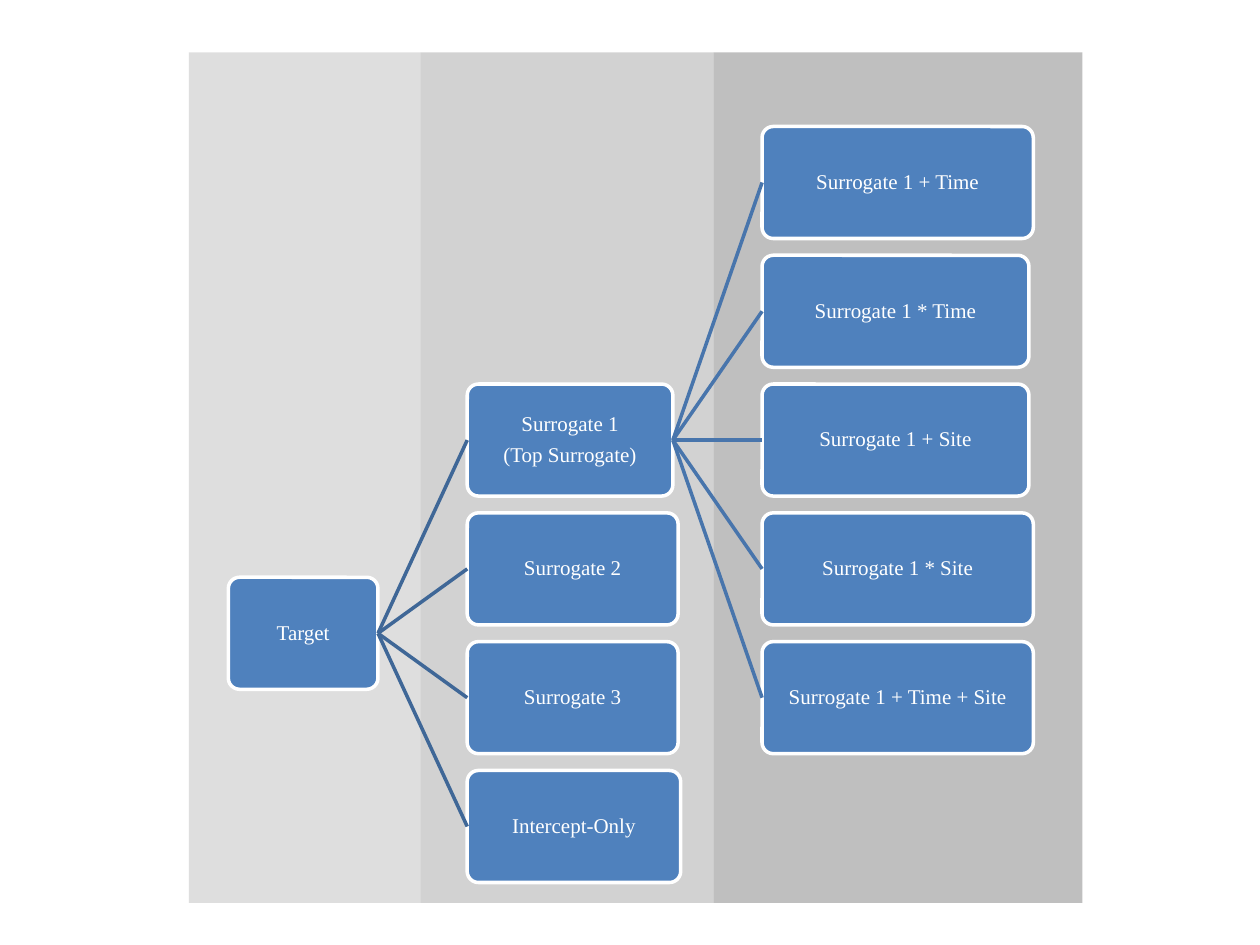
"""Build a tree of surrogate models for a target on three shaded bands."""
import pptx
import pptx.dml.color
import pptx.enum.shapes
import pptx.enum.text
import pptx.oxml
import pptx.oxml.ns
import pptx.util

Pt = pptx.util.Pt
SHAPES = pptx.enum.shapes.MSO_SHAPE

BAND_TOP, BAND_HEIGHT = 30, 486
BANDS = [(108, 132.5, "BFBFBF"), (408, 210.5, "808080"), (240.5, 167.5, "A6A6A6")]
FIRST_ROW, ROW_STEP, BOX_HEIGHT = 72.3, 73.6, 64
TARGET_LEFT, SURROGATE_LEFT, MODEL_LEFT = 130.5, 267, 435.5
SURROGATES = [
    ("Surrogate 1\n(Top Surrogate)", 117.5),
    ("Surrogate 2", 120.5),
    ("Surrogate 3", 120.5),
    ("Intercept-Only", 122),
]
MODELS = [
    ("Surrogate 1 + Time", 155),
    ("Surrogate 1 * Time", 152.5),
    ("Surrogate 1 + Site", 152.5),
    ("Surrogate 1 * Site", 155),
    ("Surrogate 1 + Time + Site", 155),
]


def color(hex_code):
    return pptx.dml.color.RGBColor.from_string(hex_code)


class TreeSlide:
    font, size = "Times New Roman", 12
    box_fill, light, line_width = "4F81BD", "FFFFFF", 2

    def __init__(self, slide):
        self.slide = slide

    def band(self, left, width, fill):
        band = self.slide.shapes.add_shape(
            SHAPES.RECTANGLE, Pt(left), Pt(BAND_TOP), Pt(width), Pt(BAND_HEIGHT))
        band.shadow.inherit = False
        band.fill.solid()
        band.fill.fore_color.rgb = color(fill)
        band.line.fill.background()
        srgb = band.fill._xPr.find(".//" + pptx.oxml.ns.qn("a:srgbClr"))
        alpha = pptx.oxml.parse_xml(f'<a:alpha {pptx.oxml.ns.nsdecls("a")} val="50000"/>')
        srgb.append(alpha)

    def box(self, label, left, row, width):
        box = self.slide.shapes.add_shape(
            SHAPES.ROUNDED_RECTANGLE, Pt(left), Pt(FIRST_ROW + row * ROW_STEP),
            Pt(width), Pt(BOX_HEIGHT))
        box.adjustments[0] = 0.1
        box.shadow.inherit = False
        box.fill.solid()
        box.fill.fore_color.rgb = color(self.box_fill)
        box.line.color.rgb = color(self.light)
        box.line.width = Pt(self.line_width)
        frame = box.text_frame
        frame.text = label
        frame.word_wrap = True
        frame.vertical_anchor = pptx.enum.text.MSO_ANCHOR.MIDDLE
        frame.margin_left = frame.margin_right = Pt(2.5)
        frame.margin_top = frame.margin_bottom = Pt(2.5)
        for paragraph in frame.paragraphs:
            paragraph.alignment = pptx.enum.text.PP_ALIGN.CENTER
            paragraph.line_spacing = 0.9
            paragraph.space_after = Pt(4.8)
            for run in paragraph.runs:
                run.font.name = self.font
                run.font.size = Pt(self.size)
                run.font.color.rgb = color(self.light)
        return box

    def branch(self, parent, child, line_color):
        branch = self.slide.shapes.add_connector(
            pptx.enum.shapes.MSO_CONNECTOR.STRAIGHT, 0, 0, 0, 0)
        branch.begin_connect(parent, 3)
        branch.end_connect(child, 1)
        branch.line.color.rgb = color(line_color)
        branch.line.width = Pt(self.line_width)
        effects = pptx.oxml.parse_xml(f'<a:effectLst {pptx.oxml.ns.nsdecls("a")}/>')
        branch._element.spPr.append(effects)

    def children(self, parent, entries, left, first_row, line_color):
        boxes = []
        for row, (label, width) in enumerate(entries, first_row):
            boxes.append(self.box(label, left, row, width))
            self.branch(parent, boxes[-1], line_color)
        return boxes


def main():
    deck = pptx.Presentation()
    deck.slide_width, deck.slide_height = Pt(720), Pt(540)
    tree = TreeSlide(deck.slides.add_slide(deck.slide_layouts[6]))
    for left, width, fill in BANDS:
        tree.band(left, width, fill)
    target = tree.box("Target", TARGET_LEFT, 3.5, 85.5)
    surrogates = tree.children(target, SURROGATES, SURROGATE_LEFT, 2, "3F6797")
    tree.children(surrogates[0], MODELS, MODEL_LEFT, 0, "4875AC")
    deck.save("out.pptx")


if __name__ == "__main__":
    main()
